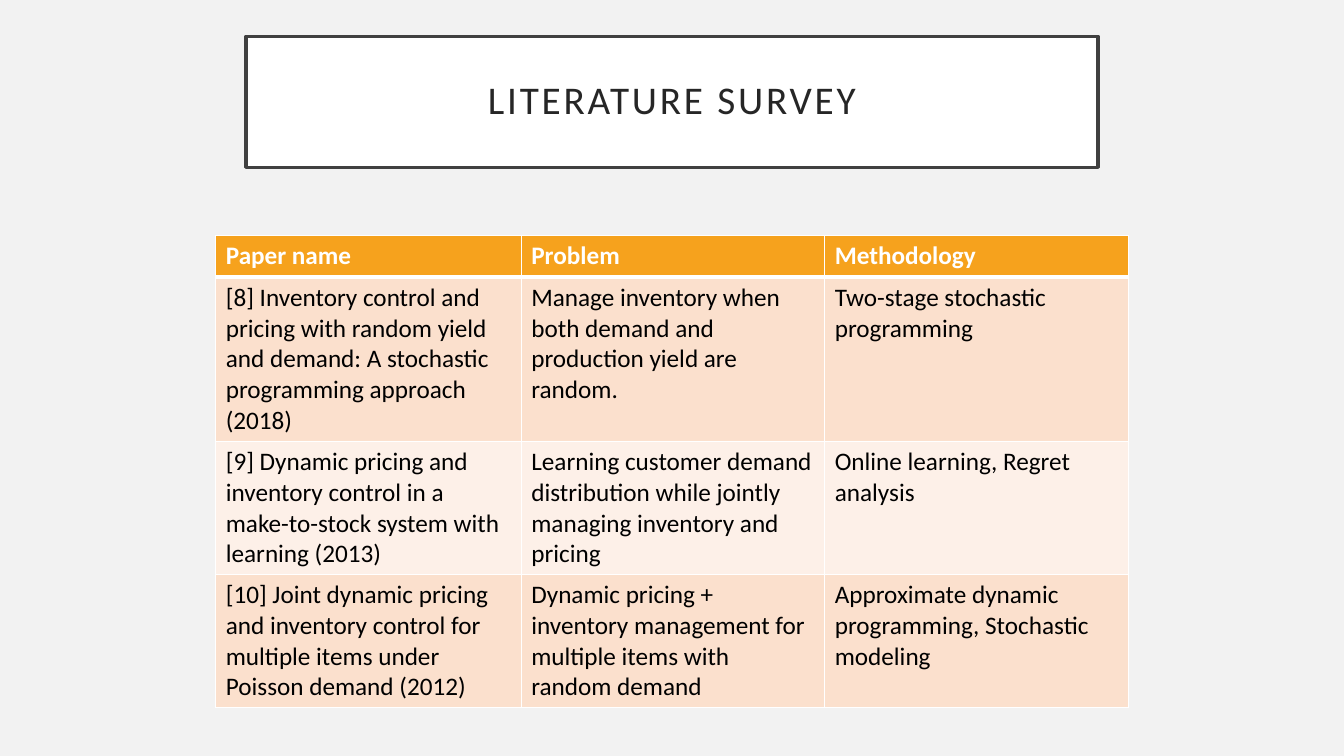
from lxml.etree import SubElement
from pptx import Presentation
from pptx.dml.color import RGBColor
from pptx.enum.text import MSO_ANCHOR, MSO_AUTO_SIZE, PP_ALIGN
from pptx.oxml.ns import qn
from pptx.util import Inches, Pt

FONT = "Calibri"
HEADER_FILL = "F6A21D"
BAND_FILLS = ("FBE0CD", "FDF0E8")
COLUMN_WIDTHS = (3.03, 3.01, 3.01)
ROW_HEIGHTS = (0.41, 1.63, 1.32, 1.32)
SURVEY = (
    ("Paper name", "Problem", "Methodology"),
    (
        "[8] Inventory control and pricing with random yield and demand: "
        "A stochastic programming approach (2018)",
        "Manage inventory when both demand and production yield are random.",
        "Two-stage stochastic programming",
    ),
    (
        "[9] Dynamic pricing and inventory control in a make-to-stock system "
        "with learning (2013)",
        "Learning customer demand distribution while jointly managing "
        "inventory and pricing",
        "Online learning, Regret analysis",
    ),
    (
        "[10] Joint dynamic pricing and inventory control for multiple items "
        "under Poisson demand (2012)",
        "Dynamic pricing + inventory management for multiple items with "
        "random demand",
        "Approximate dynamic programming, Stochastic modeling",
    ),
)


def set_fill(fill, color):
    fill.solid()
    fill.fore_color.rgb = RGBColor.from_string(color)


def set_font(paragraph, size, color, bold=False):
    font = paragraph.font
    font.name = FONT
    font.size = Pt(size)
    font.bold = bold
    font.color.rgb = RGBColor.from_string(color)


def set_borders(cell, color, top=1, bottom=1):
    """Draw all four cell edges; top and bottom widths are in points."""
    properties = cell._tc.get_or_add_tcPr()
    for edge, width in (("lnL", 1), ("lnR", 1), ("lnT", top), ("lnB", bottom)):
        line = SubElement(properties, qn(f"a:{edge}"), w=str(Pt(width)))
        solid = SubElement(line, qn("a:solidFill"))
        SubElement(solid, qn("a:srgbClr"), val=color)


def format_title(title, text):
    title.left, title.top = Inches(2.44), Inches(0.36)
    title.width, title.height = Inches(8.45), Inches(1.3)
    set_fill(title.fill, "FFFFFF")
    set_fill(title.line.fill, "404040")
    title.line.width = Pt(2.5)

    frame = title.text_frame
    frame.text = text
    frame.word_wrap = True
    frame.auto_size = MSO_AUTO_SIZE.NONE
    frame.vertical_anchor = MSO_ANCHOR.MIDDLE
    frame.margin_left = frame.margin_right = Inches(0.2)
    frame.margin_top = frame.margin_bottom = Inches(0.2)

    paragraph = frame.paragraphs[0]
    paragraph.alignment = PP_ALIGN.CENTER
    paragraph.line_spacing = 0.9
    set_font(paragraph, 28, "262626")
    paragraph.runs[0].font._element.set("spc", "200")


def add_survey_table(slide):
    table = slide.shapes.add_table(
        len(SURVEY), len(COLUMN_WIDTHS), Inches(2.14), Inches(2.34),
        Inches(sum(COLUMN_WIDTHS)), Inches(sum(ROW_HEIGHTS)),
    ).table
    for column, width in zip(table.columns, COLUMN_WIDTHS):
        column.width = Inches(width)

    for row_index, (row, height, texts) in enumerate(
        zip(table.rows, ROW_HEIGHTS, SURVEY)
    ):
        row.height = Inches(height)
        is_header = row_index == 0
        fill = HEADER_FILL if is_header else BAND_FILLS[(row_index - 1) % 2]
        for cell, text in zip(row.cells, texts):
            cell.text = text
            set_font(cell.text_frame.paragraphs[0], 18,
                     "FFFFFF" if is_header else "000000", is_header)
            set_borders(cell, "FFFFFF", top=3 if row_index == 1 else 1,
                        bottom=3 if is_header else 1)
            set_fill(cell.fill, fill)


def main():
    presentation = Presentation()
    presentation.slide_width = Inches(13.33)
    presentation.slide_height = Inches(7.5)
    title_only = presentation.slide_layouts.get_by_name("Title Only")
    slide = presentation.slides.add_slide(title_only)
    set_fill(slide.background.fill, "F2F2F2")
    format_title(slide.shapes.title, "LITERATURE SURVEY")
    add_survey_table(slide)
    presentation.save("out.pptx")


if __name__ == "__main__":
    main()
